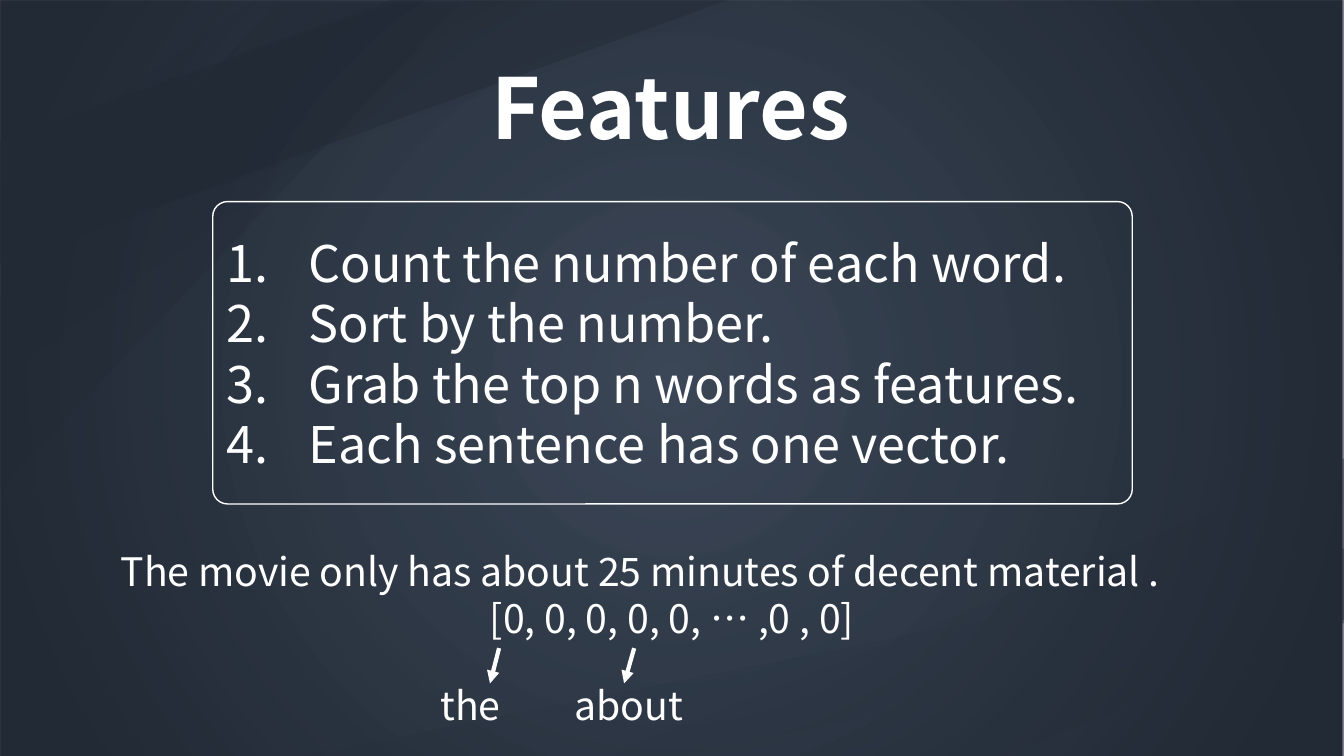
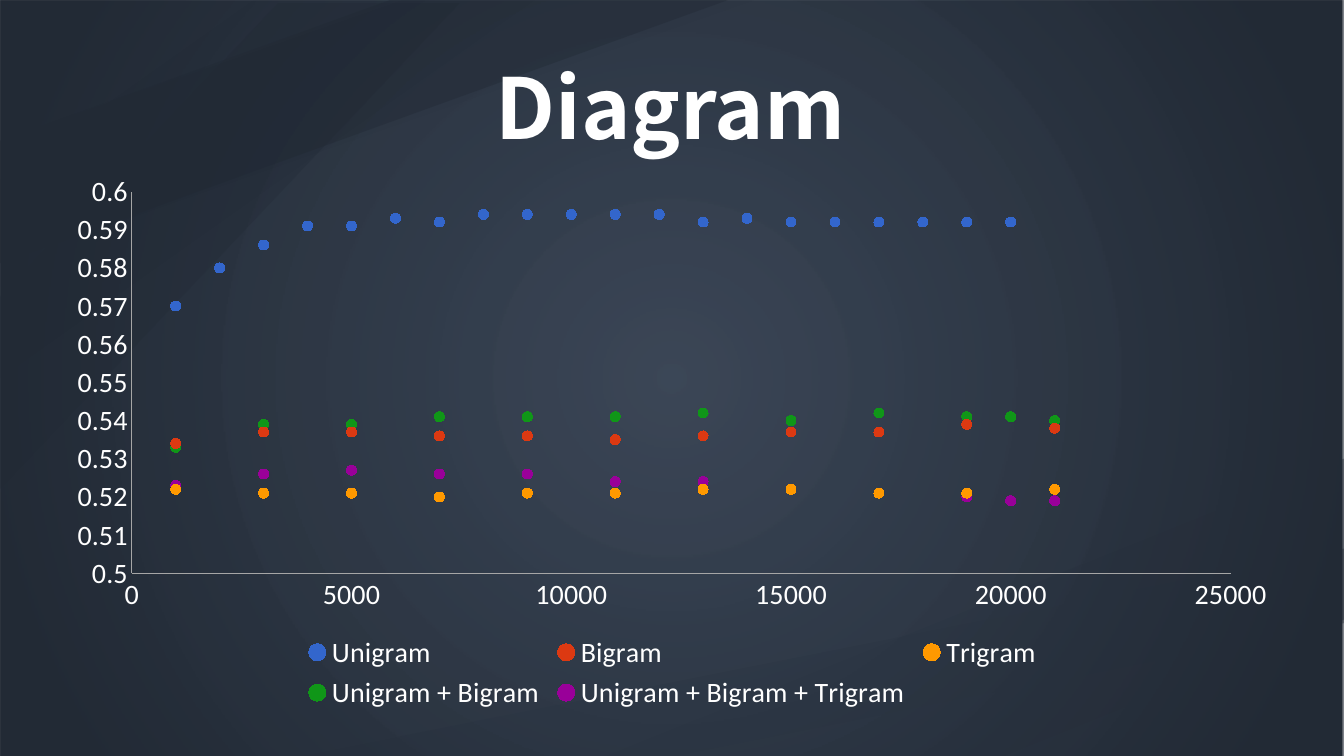
from dataclasses import dataclass
from typing import NamedTuple

from lxml import etree
from pptx import Presentation, oxml
from pptx.chart.data import XyChartData
from pptx.dml.color import RGBColor
from pptx.enum import chart as charts, shapes, text
from pptx.oxml import ns
from pptx.util import Inches, Pt

COLORS = {
    "white": "FFFFFF",
    "glow": "333F50",
    "night": "222A35",
    "axis": "A6A6A6",
    "blue": "3366CC",
    "red": "DC3912",
    "orange": "FF9900",
    "green": "109618",
    "purple": "990099",
}
FONT = "Noto Sans CJK SC"
CHART_FONT = "Calibri"
WIDTH, HEIGHT = 13.33, 7.5
LEFT, CENTER = text.PP_ALIGN.LEFT, text.PP_ALIGN.CENTER
RECTANGLE = shapes.MSO_SHAPE.RECTANGLE
STRIPE = shapes.MSO_SHAPE.DIAGONAL_STRIPE


class Area(NamedTuple):
    left: float
    top: float
    width: float
    height: float

    def lengths(self) -> list:
        return [Inches(value) for value in self]


class Stripe(NamedTuple):
    area: Area
    cut: float
    opacity: int
    rotation: int = 0


class Line(NamedTuple):
    words: str
    align: text.PP_ALIGN = LEFT


class Pointer(NamedTuple):
    """An arrow from the vector down to the word it counts."""
    start: tuple
    end: tuple
    label: str
    area: Area


@dataclass
class Scores:
    name: str
    color: str
    sizes: list
    values: list


STRIPES_BELOW = [
    Stripe(Area(6.01, 4.55, 7.32, 2.95), 0.459, 40, 180),
    Stripe(Area(2.98, 5.44, 10.36, 2.06), 0.641, 40, 180),
]
STRIPES_ABOVE = [
    Stripe(Area(0, 0, 7.22, 2.61), 0.536, 40),
    Stripe(Area(0, 0.03, 4.56, 4.82), 0.605, 30),
    Stripe(Area(0, 0, 7.48, 2.61), 0.536, 5),
    Stripe(Area(0, 0, 5.3, 3.75), 0.476, 5),
]
TITLE_AREA = Area(2.44, 0.5, 8.42, 1.11)

STEPS = [
    "Count the number of each word.",
    "Sort by the number.",
    "Grab the top n words as features.",
    "Each sentence has one vector.",
]
EXAMPLE = [
    Line("The movie only has about 25 minutes of decent material ."),
    Line("[0, 0, 0, 0, 0, … ,0 , 0]", CENTER),
]
POINTERS = [
    Pointer((4.95, 6.43), (4.86, 6.78), "the", Area(4.27, 6.71, 0.92, 0.57)),
    Pointer((6.29, 6.43), (6.19, 6.78), "about", Area(5.6, 6.71, 1.61, 0.57)),
]

ALL_SIZES = [*range(1000, 21001, 1000), None]
EVERY_SIZE = list(range(1000, 20001, 1000))
ODD_SIZES = list(range(1000, 21001, 2000))
MIXED_SIZES = sorted(ODD_SIZES + [20000])
SCORES = [
    Scores("Unigram", "blue", EVERY_SIZE,
           [0.57, 0.58, 0.586, 0.591, 0.591, 0.593, 0.592, 0.594, 0.594, 0.594,
            0.594, 0.594, 0.592, 0.593, 0.592, 0.592, 0.592, 0.592, 0.592, 0.592]),
    Scores("Bigram", "red", ODD_SIZES,
           [0.534, 0.537, 0.537, 0.536, 0.536, 0.535, 0.536, 0.537, 0.537, 0.539, 0.538]),
    Scores("Trigram", "orange", ODD_SIZES,
           [0.522, 0.521, 0.521, 0.52, 0.521, 0.521, 0.522, 0.522, 0.521, 0.521, 0.522]),
    Scores("Unigram + Bigram", "green", MIXED_SIZES,
           [0.533, 0.539, 0.539, 0.541, 0.541, 0.541, 0.542, 0.54, 0.542, 0.541,
            0.541, 0.54]),
    Scores("Unigram + Bigram + Trigram", "purple", MIXED_SIZES,
           [0.523, 0.526, 0.527, 0.526, 0.526, 0.524, 0.524, 0.522, 0.521, 0.52,
            0.519, 0.519]),
]


def rgb(name: str) -> RGBColor:
    return RGBColor.from_string(COLORS[name])


def add_plain_shape(page, kind, area: Area):
    shape = page.shapes.add_shape(kind, *area.lengths())
    shape.shadow.inherit = False
    shape.fill.background()
    shape.line.fill.background()
    return shape


def add_stripe(page, stripe: Stripe) -> None:
    shape = add_plain_shape(page, STRIPE, stripe.area)
    shape.adjustments[0] = stripe.cut
    shape.rotation = stripe.rotation
    shape.fill.solid()
    shape.fill.fore_color.rgb = rgb("night")
    color = shape.element.spPr.find(".//" + ns.qn("a:srgbClr"))
    etree.SubElement(color, ns.qn("a:alpha"), val=str(stripe.opacity * 1000))


def add_glow(page) -> None:
    """Cover the page with a round gradient, lightest in the centre."""
    cover = add_plain_shape(page, RECTANGLE, Area(0, 0, WIDTH, HEIGHT))
    cover.fill.gradient()
    properties = cover.element.spPr
    gradient = oxml.parse_xml(
        f'<a:gradFill {ns.nsdecls("a")} rotWithShape="1"><a:gsLst>'
        f'<a:gs pos="0"><a:srgbClr val="{COLORS["glow"]}"><a:alpha val="95000"/></a:srgbClr></a:gs>'
        f'<a:gs pos="90000"><a:srgbClr val="{COLORS["night"]}"/></a:gs></a:gsLst>'
        '<a:path path="circle"><a:fillToRect l="50000" t="50000" r="50000" b="50000"/></a:path>'
        '</a:gradFill>')
    properties.replace(properties.find(ns.qn("a:gradFill")), gradient)


def add_span(para, words: str, size: int, bold: bool = False) -> None:
    span = para.add_run()
    span.text = words
    span.font.name = FONT
    span.font.size = Pt(size)
    span.font.bold = bold
    span.font.color.rgb = rgb("white")


def fill_frame(frame, lines: list[Line], size: int, bold: bool = False) -> None:
    frame.word_wrap = True
    for index, line in enumerate(lines):
        para = frame.add_paragraph() if index else frame.paragraphs[0]
        para.alignment = line.align
        add_span(para, line.words, size, bold)


def add_text(page, area: Area, lines: list[Line], size: int, bold: bool = False) -> None:
    box = page.shapes.add_textbox(*area.lengths())
    box.text_frame.auto_size = text.MSO_AUTO_SIZE.SHAPE_TO_FIT_TEXT
    fill_frame(box.text_frame, lines, size, bold)


def add_page(deck, title: str):
    page = deck.slides.add_slide(deck.slide_layouts[6])
    for stripe in STRIPES_BELOW:
        add_stripe(page, stripe)
    add_glow(page)
    for stripe in STRIPES_ABOVE:
        add_stripe(page, stripe)
    add_text(page, TITLE_AREA, [Line(title, CENTER)], 60, bold=True)
    return page


def add_steps(page, area: Area) -> None:
    box = add_plain_shape(page, shapes.MSO_SHAPE.ROUNDED_RECTANGLE, area)
    box.adjustments[0] = 0.049
    box.line.color.rgb = rgb("white")
    box.line.width = Pt(1)
    frame = box.text_frame
    frame.vertical_anchor = text.MSO_ANCHOR.MIDDLE
    fill_frame(frame, [Line(step) for step in STEPS], 36)
    indent = Inches(0.81)
    for para in frame.paragraphs:
        properties = para._p.get_or_add_pPr()
        properties.set("marL", str(indent))
        properties.set("indent", str(-indent))
        etree.SubElement(properties, ns.qn("a:buAutoNum"), type="arabicPeriod")


def add_pointer(page, pointer: Pointer) -> None:
    ends = [Inches(value) for value in pointer.start + pointer.end]
    arrow = page.shapes.add_connector(shapes.MSO_CONNECTOR.STRAIGHT, *ends)
    arrow.line.color.rgb = rgb("white")
    arrow.line.width = Pt(3)
    properties = arrow.element.spPr
    etree.SubElement(properties.find(ns.qn("a:ln")), ns.qn("a:tailEnd"), type="triangle")
    etree.SubElement(properties, ns.qn("a:effectLst"))
    add_text(page, pointer.area, [Line(pointer.label)], 28)


def style_axis(axis, low: float, high: float, step: float) -> None:
    axis.minimum_scale, axis.maximum_scale, axis.major_unit = low, high, step
    axis.has_major_gridlines = False
    axis.major_tick_mark = axis.minor_tick_mark = charts.XL_TICK_MARK.NONE
    axis.tick_labels.number_format = "General"
    axis.tick_labels.number_format_is_linked = False
    axis.format.line.color.rgb = rgb("axis")
    axis.format.line.width = Pt(0.75)


def place_plot(chart, portion: Area) -> None:
    """Fix the inner plot area, given in parts of the chart's size."""
    plot_area = chart.element.find(".//" + ns.qn("c:plotArea"))
    for layout in plot_area.findall(ns.qn("c:layout")):
        plot_area.remove(layout)
    sides = "".join(f'<c:{tag} val="{value}"/>' for tag, value in zip("xywh", portion))
    plot_area.insert(0, oxml.parse_xml(
        f'<c:layout {ns.nsdecls("c")}><c:manualLayout><c:layoutTarget val="inner"/>'
        f'<c:xMode val="edge"/><c:yMode val="edge"/>{sides}</c:manualLayout></c:layout>'))


def score_data() -> XyChartData:
    data = XyChartData()
    for scores in SCORES:
        series = data.add_series(scores.name)
        measured = dict(zip(scores.sizes, scores.values))
        for size in ALL_SIZES:
            series.add_data_point(size, measured.get(size))
    return data


def drop_missing_points(chart) -> None:
    """Leave sizes without a score empty in the chart's cached values."""
    for point in list(chart.element.iter(ns.qn("c:pt"))):
        if point.findtext(ns.qn("c:v")) in ("None", "", None):
            point.getparent().remove(point)


def add_score_chart(page, area: Area) -> None:
    chart = page.shapes.add_chart(
        charts.XL_CHART_TYPE.XY_SCATTER, *area.lengths(), score_data()).chart
    drop_missing_points(chart)
    chart.has_title = False
    chart.font.name = CHART_FONT
    chart.font.size = Pt(20)
    chart.font.color.rgb = rgb("white")
    chart.has_legend = True
    chart.legend.position = charts.XL_LEGEND_POSITION.BOTTOM
    chart.legend.include_in_layout = False
    style_axis(chart.category_axis, 0, 25000, 5000)
    style_axis(chart.value_axis, 0.5, 0.6, 0.01)
    place_plot(chart, Area(0.064, 0.053, 0.886, 0.69))
    plot = chart.plots[0]
    plot.vary_by_categories = False
    for scores, series in zip(SCORES, plot.series):
        series.format.line.fill.background()
        series.marker.style = charts.XL_MARKER_STYLE.CIRCLE
        series.marker.size = 7
        series.marker.format.fill.solid()
        series.marker.format.fill.fore_color.rgb = rgb(scores.color)
        series.marker.format.line.color.rgb = rgb(scores.color)


def main() -> None:
    deck = Presentation()
    deck.slide_width, deck.slide_height = Inches(WIDTH), Inches(HEIGHT)

    features = add_page(deck, "Features")
    add_steps(features, Area(2.11, 2, 9.12, 3))
    add_text(features, Area(1.1, 5.38, 11.13, 1.04), EXAMPLE, 28)
    for pointer in POINTERS:
        add_pointer(features, pointer)

    diagram = add_page(deck, "Diagram")
    add_score_chart(diagram, Area(0.52, 1.61, 12.3, 5.49))

    deck.save("out.pptx")


if __name__ == "__main__":
    main()
